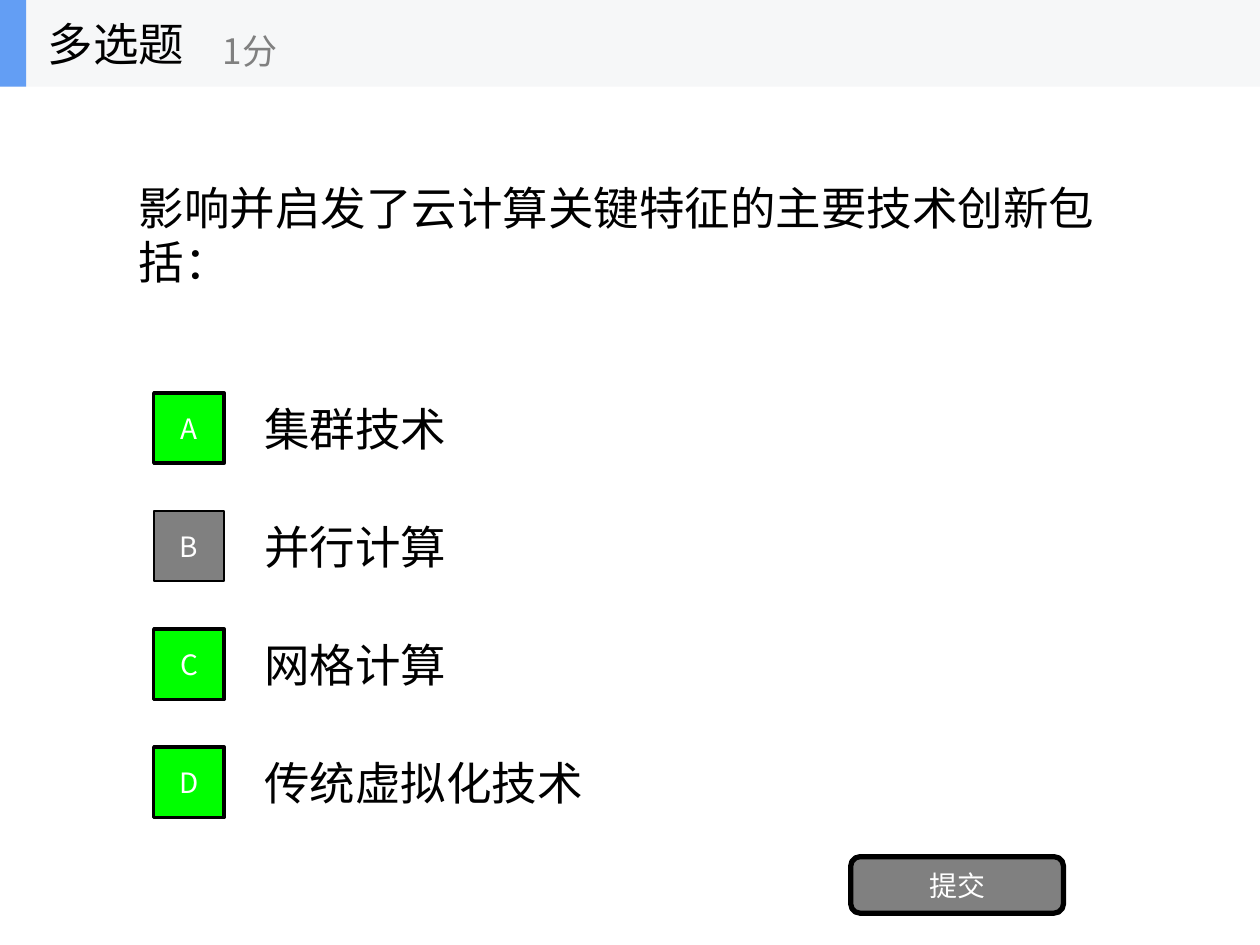
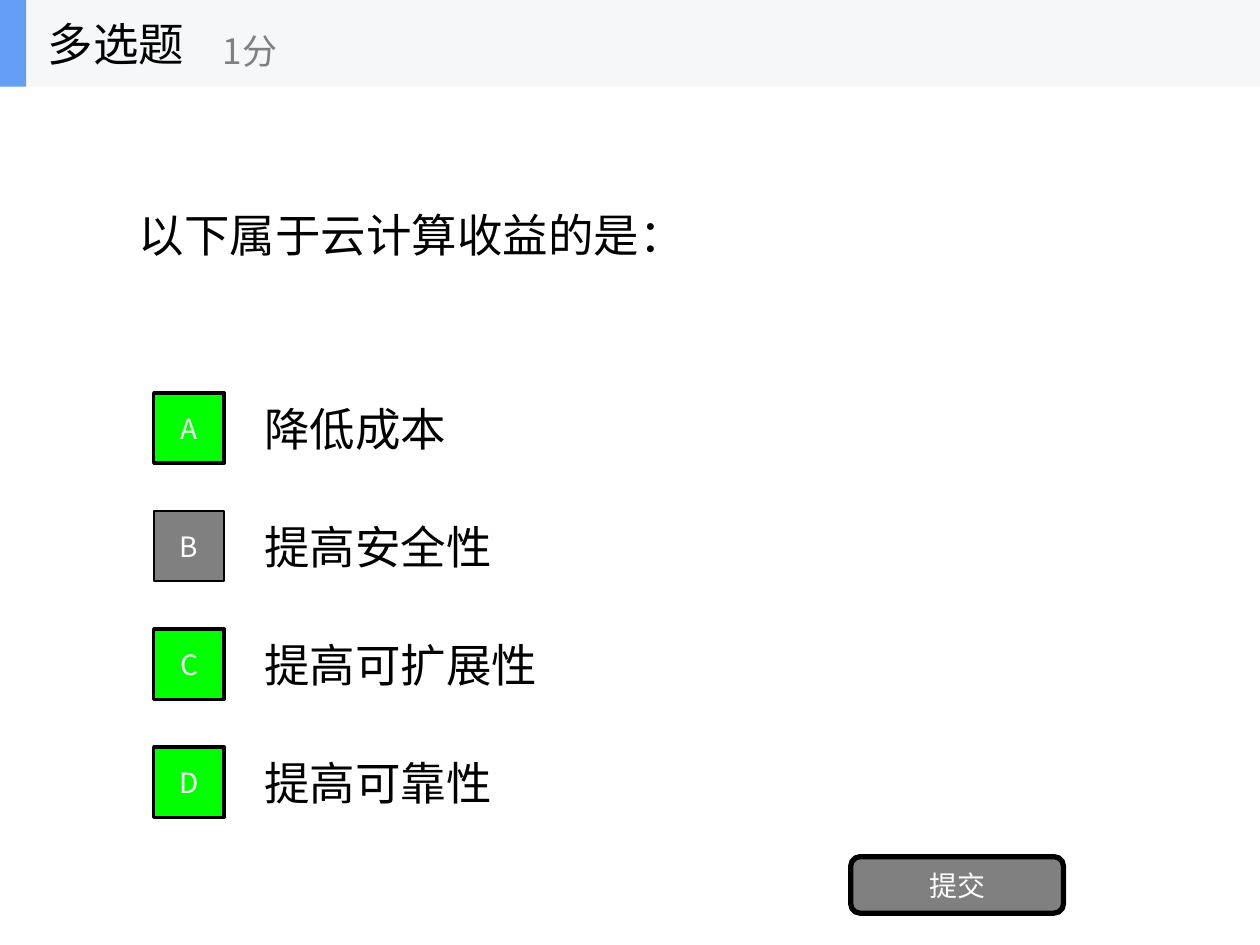
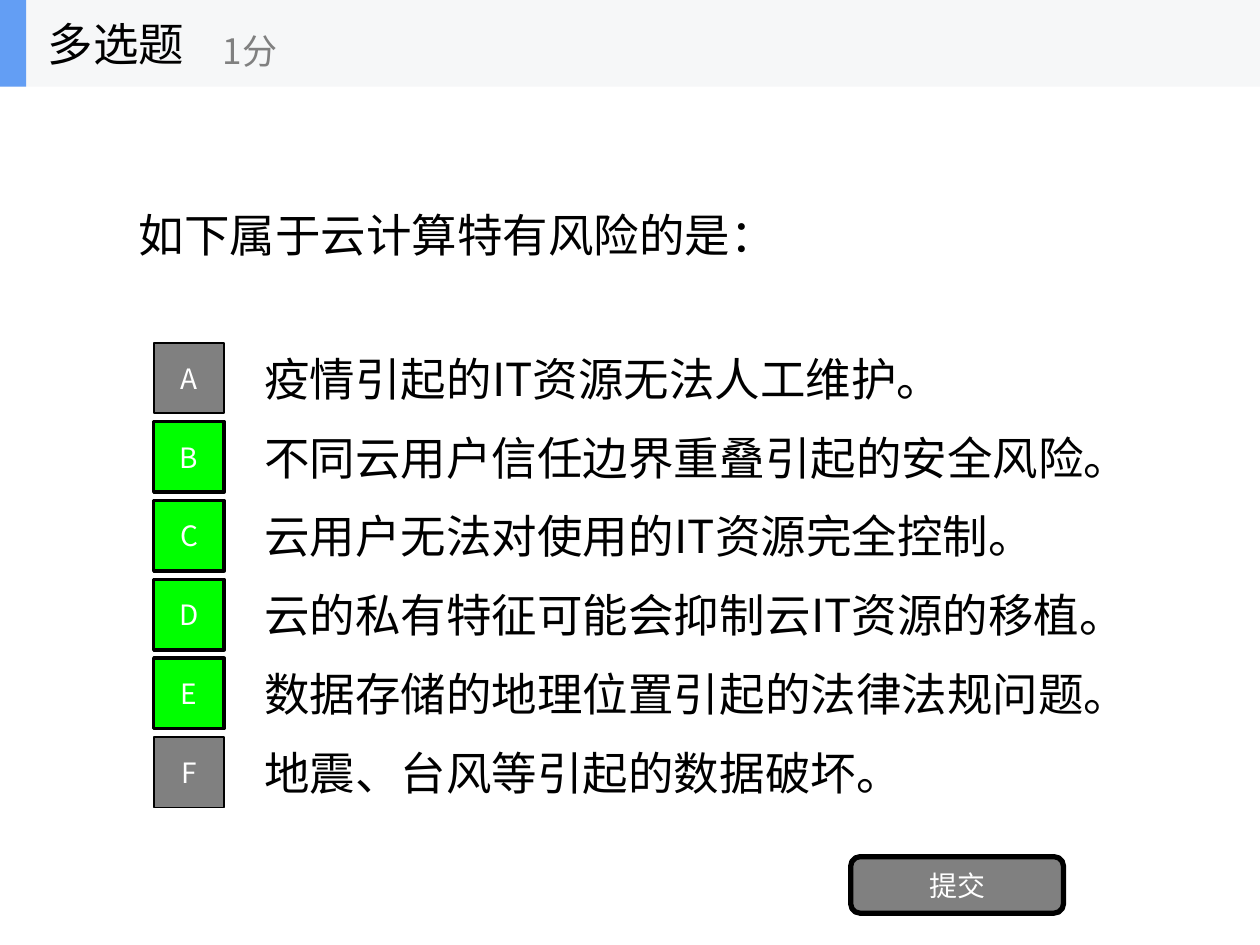
from lxml import etree
from pptx import Presentation
from pptx.dml.color import RGBColor
from pptx.enum.shapes import MSO_SHAPE
from pptx.enum.text import MSO_ANCHOR, MSO_AUTO_SIZE, PP_ALIGN
from pptx.oxml.ns import qn
from pptx.util import Cm, Pt

RECT, ROUNDED = MSO_SHAPE.RECTANGLE, MSO_SHAPE.ROUNDED_RECTANGLE
MIDDLE = MSO_ANCHOR.MIDDLE
LEFT, CENTER = PP_ALIGN.LEFT, PP_ALIGN.CENTER
NO_AUTOFIT = MSO_AUTO_SIZE.NONE
TITLE_ONLY = 5

FONT = "Noto Sans CJK SC"
COLORS = {
    "text": "000000",
    "white": "FFFFFF",
    "grey": "808080",
    "correct": "00FF00",
    "band": "F6F7F8",
    "accent": "639EF4",
}
SLIDE_W, SLIDE_H = Cm(25.4), Cm(19.05)
HEADER_H = Cm(1.75)
QUESTION_BOX = (Cm(2.54), HEADER_H, Cm(20.32), Cm(5.94))
BUTTON_BOX = (Cm(17.15), Cm(17.27), Cm(4.29), Cm(1.14))
OPTIONS_LEFT = Cm(3.1)
OPTION_H = Cm(1.78)
OPTION_TEXT_W = Cm(17.78)
MARK_SIZE = Cm(1.42)
MARK_TO_TEXT = Cm(1.98)

# Each option: text, whether it is correct, and a text width if not the usual one.
QUESTIONS = [
    {
        "question": "影响并启发了云计算关键特征的主要技术创新包括：",
        "top": Cm(7.74),
        "step": Cm(2.38),
        "options": [
            ("集群技术", True),
            ("并行计算", False),
            ("网格计算", True),
            ("传统虚拟化技术", True),
        ],
    },
    {
        "question": "以下属于云计算收益的是：",
        "top": Cm(7.74),
        "step": Cm(2.38),
        "options": [
            ("降低成本", True),
            ("提高安全性", False),
            ("提高可扩展性", True),
            ("提高可靠性", True),
        ],
    },
    {
        "question": "如下属于云计算特有风险的是：",
        "top": Cm(6.73),
        "step": Cm(1.59),
        "options": [
            ("疫情引起的IT资源无法人工维护。", False),
            ("不同云用户信任边界重叠引起的安全风险。", True, Cm(18.42)),
            ("云用户无法对使用的IT资源完全控制。", True),
            ("云的私有特征可能会抑制云IT资源的移植。", True, Cm(18.21)),
            ("数据存储的地理位置引起的法律法规问题。", True, Cm(18.01)),
            ("地震、台风等引起的数据破坏。", False),
        ],
    },
]


def rgb(name):
    return RGBColor.from_string(COLORS[name])


def write(shape, text, size, color="text", align=LEFT, wrap=True):
    tf = shape.text_frame
    tf.text = text
    tf.word_wrap = wrap
    tf.auto_size = NO_AUTOFIT
    tf.vertical_anchor = MIDDLE
    p = tf.paragraphs[0]
    p.alignment = align
    p.font.size = Pt(size)
    p.font.color.rgb = rgb(color)
    p.font.name = FONT
    # Chinese glyphs take the East Asian typeface, which has no public setter.
    latin = p._p.pPr.find(qn("a:defRPr")).find(qn("a:latin"))
    east_asian = etree.Element(qn("a:ea"), typeface=FONT)
    latin.addnext(east_asian)


def add_text(shapes, box, text, size, **style):
    write(shapes.add_textbox(*box), text, size, **style)


def add_block(shapes, kind, box, fill, line_width=0):
    """Add a filled shape, with a black outline if line_width is given."""
    sp = shapes.add_shape(kind, *box)
    sp.shadow.inherit = False
    sp.fill.solid()
    sp.fill.fore_color.rgb = rgb(fill)
    if line_width:
        sp.line.color.rgb = rgb("text")
        sp.line.width = Pt(line_width)
    else:
        sp.line.fill.background()
    return sp


def add_question(s, box, text):
    title = s.shapes.title
    title.left, title.top, title.width, title.height = box
    write(title, text, 26)


def add_option(s, left, top, letter, text, correct, text_width=OPTION_TEXT_W):
    mark_top = top + (OPTION_H - MARK_SIZE) // 2
    fill, line_width = ("correct", 2) if correct else ("grey", 1)
    mark = add_block(s.shapes, RECT, (left, mark_top, MARK_SIZE, MARK_SIZE),
                     fill, line_width)
    write(mark, letter, 16, color="white", align=CENTER)
    add_text(s.shapes, (left + MARK_TO_TEXT, top, text_width, OPTION_H), text, 26)


def add_options(s, left, top, step, options):
    for i, (letter, option) in enumerate(zip("ABCDEF", options)):
        add_option(s, left, top + i * step, letter, *option)


def add_submit_button(s, box):
    button = add_block(s.shapes, ROUNDED, box, "grey", 3)
    write(button, "提交", 16, color="white", align=CENTER)


def add_header(s, left, top, width, height):
    shapes = s.shapes.add_group_shape().shapes
    add_block(shapes, RECT, (left, top, width, height), "band")
    add_block(shapes, RECT, (left, top, Cm(0.53), height), "accent")
    add_text(shapes, (left + Cm(0.71), top, Cm(5.28), height),
             "多选题", 26, wrap=False)
    add_text(shapes, (left + Cm(4.24), top + Cm(0.31), Cm(6.35), Cm(1.42)),
             "1分", 20, color="grey", wrap=False)


def add_question_slide(prs, question, top, step, options):
    s = prs.slides.add_slide(prs.slide_layouts[TITLE_ONLY])
    add_question(s, QUESTION_BOX, question)
    add_options(s, OPTIONS_LEFT, top, step, options)
    add_submit_button(s, BUTTON_BOX)
    add_header(s, 0, 0, SLIDE_W, HEADER_H)


def main():
    prs = Presentation()
    prs.slide_width, prs.slide_height = SLIDE_W, SLIDE_H
    for content in QUESTIONS:
        add_question_slide(prs, **content)
    prs.save("out.pptx")


if __name__ == "__main__":
    main()
